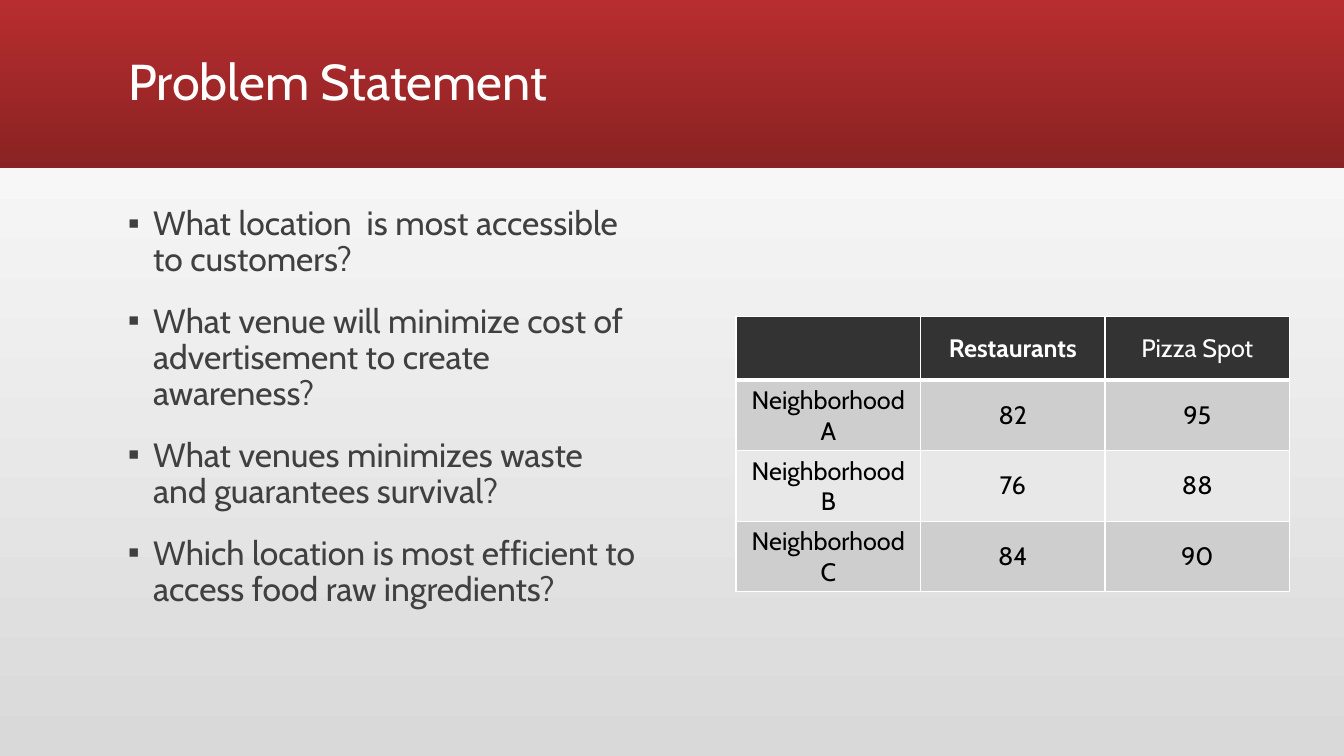
from lxml.etree import SubElement
from pptx import Presentation
from pptx.dml.color import RGBColor
from pptx.enum.shapes import MSO_SHAPE
from pptx.enum.text import MSO_ANCHOR, PP_ALIGN
from pptx.oxml.ns import qn
from pptx.util import Inches, Pt

FONT = "Cabin"
COLORS = {
    "white": "FFFFFF", "black": "000000", "body": "404040",
    "band_top": "B82D2F", "band_bottom": "8A2223", "page_bottom": "D9D9D9",
    "header": "333333", "row_dark": "CECECE", "row_light": "E8E8E8",
}
QUESTIONS = [
    "What location  is most accessible to customers?",
    "What venue will minimize cost of advertisement to create awareness?",
    "What venues minimizes waste and guarantees survival?",
    "Which location is most efficient to access food raw ingredients?",
]
SCORES = [
    ["", "Restaurants", "Pizza Spot"],
    ["Neighborhood A", "82", "95"],
    ["Neighborhood B", "76", "88"],
    ["Neighborhood C", "84", "90"],
]


def color(name):
    return RGBColor.from_string(COLORS[name])


def write(paragraph, text, size=18, ink="black", bold=False,
          align=PP_ALIGN.LEFT, spacing=None, before=None):
    """Put formatted text in a paragraph."""
    paragraph.text = text
    paragraph.alignment = align
    paragraph.line_spacing = spacing
    paragraph.space_before = before
    for font in [paragraph.font] + [run.font for run in paragraph.runs]:
        font.name, font.size, font.bold = FONT, Pt(size), bold
        font.color.rgb = color(ink)


def add_bullet(paragraph, mark="▪", indent=Inches(0.25)):
    properties = paragraph._p.get_or_add_pPr()
    properties.set("marL", str(indent))
    properties.set("indent", str(-indent))
    SubElement(properties, qn("a:buFont"), typeface="Arial")
    SubElement(properties, qn("a:buChar"), char=mark)


def fill_gradient(fill, start, end, angle):
    fill.gradient()
    fill.gradient_angle = angle
    for stop, name, position in zip(fill.gradient_stops, (start, end), (0, 1)):
        stop.color.rgb = color(name)
        stop.position = position


class SlideBuilder:
    def __init__(self, presentation):
        self.slide = presentation.slides.add_slide(presentation.slide_layouts[5])
        self.shapes = self.slide.shapes

    def background(self, start, end):
        fill_gradient(self.slide.background.fill, start, end, 90)

    def band(self, width, height):
        band = self.shapes.add_shape(MSO_SHAPE.RECTANGLE, 0, 0, width, height)
        band.shadow.inherit = False
        band.line.fill.background()
        fill_gradient(band.fill, "band_top", "band_bottom", 270)
        # The band lies behind the title
        self.shapes._spTree.insert(2, band._element)

    def title(self, text, left, top, width, height):
        title = self.shapes.title
        title.left, title.top, title.width, title.height = left, top, width, height
        title.text_frame.vertical_anchor = MSO_ANCHOR.MIDDLE
        write(title.text_frame.paragraphs[0], text, size=36, ink="white", spacing=0.9)

    def bullets(self, items, left, top, width, height):
        frame = self.shapes.add_textbox(left, top, width, height).text_frame
        frame.word_wrap = True
        for index, item in enumerate(items):
            paragraph = frame.add_paragraph() if index else frame.paragraphs[0]
            write(paragraph, item, size=24, ink="body", spacing=0.9, before=Pt(18))
            add_bullet(paragraph)

    def borders(self, cell, top=1, bottom=1):
        properties = cell._tc.get_or_add_tcPr()
        for side, points in zip("LRTB", (1, 1, top, bottom)):
            line = SubElement(properties, qn(f"a:ln{side}"), w=str(Pt(points)))
            solid = SubElement(line, qn("a:solidFill"))
            SubElement(solid, qn("a:srgbClr"), val=COLORS["white"])

    def table(self, rows, left, top, column_width, row_height):
        columns = len(rows[0])
        table = self.shapes.add_table(
            len(rows), columns, left, top,
            column_width * columns, row_height * len(rows)).table
        for column in table.columns:
            column.width = column_width
        for r, values in enumerate(rows):
            table.rows[r].height = row_height
            shade = "header" if r == 0 else "row_dark" if r % 2 else "row_light"
            for c, value in enumerate(values):
                cell = table.cell(r, c)
                # A thick rule parts the header from the rows
                self.borders(cell, top=3 if r == 1 else 1, bottom=3 if r == 0 else 1)
                cell.fill.solid()
                cell.fill.fore_color.rgb = color(shade)
                cell.vertical_anchor = MSO_ANCHOR.MIDDLE
                write(cell.text_frame.paragraphs[0], value, align=PP_ALIGN.CENTER,
                      ink="black" if r else "white", bold=value == "Restaurants")


def main():
    presentation = Presentation()
    presentation.slide_width = Inches(13.33)
    presentation.slide_height = Inches(7.5)
    problem = SlideBuilder(presentation)

    # Backdrop and heading
    problem.background("page_bottom", "white")
    problem.band(presentation.slide_width, Inches(1.67))
    problem.title("Problem Statement", Inches(1.17), Inches(0.11), Inches(11), Inches(1.45))

    # Questions on the left, neighborhood scores on the right
    problem.bullets(QUESTIONS, Inches(1.17), Inches(2), Inches(5.25), Inches(5))
    problem.table(SCORES, Inches(7.3), Inches(3.14), Inches(1.83), Inches(0.63))

    presentation.save("out.pptx")


if __name__ == "__main__":
    main()
